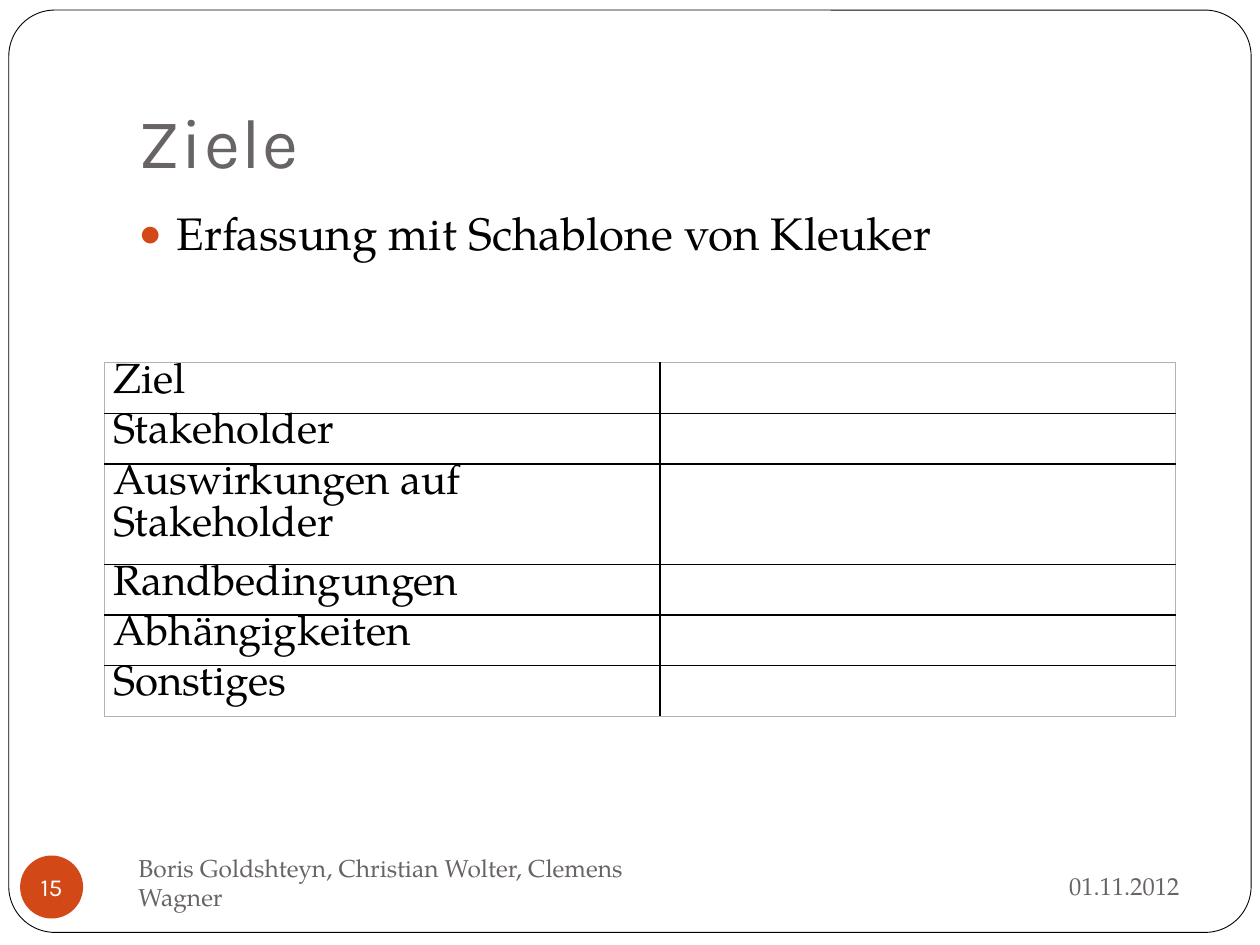
from pptx import Presentation
from pptx.util import Inches, Pt
from pptx.dml.color import RGBColor
from pptx.enum.shapes import MSO_SHAPE
from pptx.enum.text import MSO_ANCHOR, PP_ALIGN
from pptx.oxml import parse_xml
from pptx.oxml.ns import nsdecls

COLORS = {k: RGBColor.from_string(v) for k, v in {
    "white": "FFFFFF", "black": "000000", "gray": "696464", "accent": "D34817"}.items()}
HEAD, BODY = "Karla", "TeX Gyre Pagella"


def write(tf, words, size, font, color, align=PP_ALIGN.LEFT, anchor=MSO_ANCHOR.MIDDLE):
    tf.text = words
    tf.word_wrap = True
    tf.vertical_anchor = anchor
    p = tf.paragraphs[0]
    p.alignment = align
    p.font.size, p.font.name = Pt(size), font
    p.font.color.rgb = COLORS[color]
    return p


def place(sp, left, top, width, height):
    sp.left, sp.top = Inches(left), Inches(top)
    sp.width, sp.height = Inches(width), Inches(height)


prs = Presentation()
prs.slide_width, prs.slide_height = Inches(10), Inches(7.5)
slide = prs.slides.add_slide(prs.slide_layouts[1])
shapes = slide.shapes
title, body = slide.placeholders

# Rounded frame, behind everything else
frame = shapes.add_shape(MSO_SHAPE.ROUNDED_RECTANGLE, Inches(0.07), Inches(0.08),
                         Inches(9.86), Inches(7.32))
frame.adjustments[0] = 0.05
frame.shadow.inherit = False
frame.fill.solid()
frame.fill.fore_color.rgb = COLORS["white"]
frame.line.color.rgb = COLORS["black"]
frame.line.width = Pt(0.5)
title._element.addprevious(frame._element)

# Title
place(title, 1, 0.3, 8.5, 1.25)
p = write(title.text_frame, "Ziele", 40, HEAD, "gray", anchor=MSO_ANCHOR.BOTTOM)
title.text_frame.margin_bottom = Inches(0.1)
p.runs[0].font._element.set("spc", "100")

# Bullet list
place(body, 1, 1.58, 8.5, 5)
p = write(body.text_frame, "Erfassung mit Schablone von Kleuker", 26, BODY, "black",
          anchor=MSO_ANCHOR.TOP)
p.space_before = p.space_after = Pt(6)
pPr = p._p.get_or_add_pPr()
pPr.set("marL", str(Inches(0.3)))
pPr.set("indent", str(-Inches(0.3)))
bullet = [f'<a:buClr {nsdecls("a")}><a:srgbClr val="{COLORS["accent"]}"/></a:buClr>',
          f'<a:buSzPct {nsdecls("a")} val="85000"/>',
          f'<a:buChar {nsdecls("a")} char="●"/>']
defaults = pPr.find("{*}defRPr")
for xml in bullet:
    defaults.addprevious(parse_xml(xml))

# Footer: authors and date
for words, box, align in [
        ("Boris Goldshteyn, Christian Wolter, Clemens Wagner", (1, 6.75, 4.33, 0.5), PP_ALIGN.LEFT),
        ("01.11.2012", (6.75, 6.77, 2.71, 0.52), PP_ALIGN.RIGHT)]:
    sp = shapes.add_textbox(*map(Inches, box))
    write(sp.text_frame, words, 14, BODY, "gray", align)

# Page number badge
badge = shapes.add_shape(MSO_SHAPE.OVAL, Inches(0.16), Inches(6.79), Inches(0.5), Inches(0.5))
badge.shadow.inherit = False
badge.fill.solid()
badge.fill.fore_color.rgb = COLORS["accent"]
badge.line.fill.background()
tf = badge.text_frame
write(tf, "15", 14, HEAD, "white", PP_ALIGN.CENTER)
tf.word_wrap = False
tf.margin_left = tf.margin_right = tf.margin_top = tf.margin_bottom = 0

# Goal template table: black inner rules only
labels = ["Ziel", "Stakeholder", "Auswirkungen auf Stakeholder",
          "Randbedingungen", "Abhängigkeiten", "Sonstiges"]
table = shapes.add_table(len(labels), 2, Inches(0.83), Inches(2.88),
                         Inches(8.5), Inches(0.39 * len(labels))).table
table.first_row = table.horz_banding = False
table.columns[0].width, table.columns[1].width = Inches(4.41), Inches(4.09)
for i, label in enumerate(labels):
    for j, words in enumerate([label, ""]):
        cell = table.cell(i, j)
        cell.margin_left = cell.margin_right = Inches(0.07)
        cell.margin_top = cell.margin_bottom = 0
        write(cell.text_frame, words, 24, BODY, "black", anchor=MSO_ANCHOR.TOP)
        tcPr = cell._tc.get_or_add_tcPr()
        inner = {"lnL": j > 0, "lnR": j < 1, "lnT": i > 0, "lnB": i < len(labels) - 1}
        for side, is_inner in inner.items():
            width, color = (12700, COLORS["black"]) if is_inner else (6350, "B2B2B2")
            tcPr.append(parse_xml(
                f'<a:{side} {nsdecls("a")} w="{width}"><a:solidFill>'
                f'<a:srgbClr val="{color}"/></a:solidFill></a:{side}>'))
        cell.fill.background()

prs.save("out.pptx")
